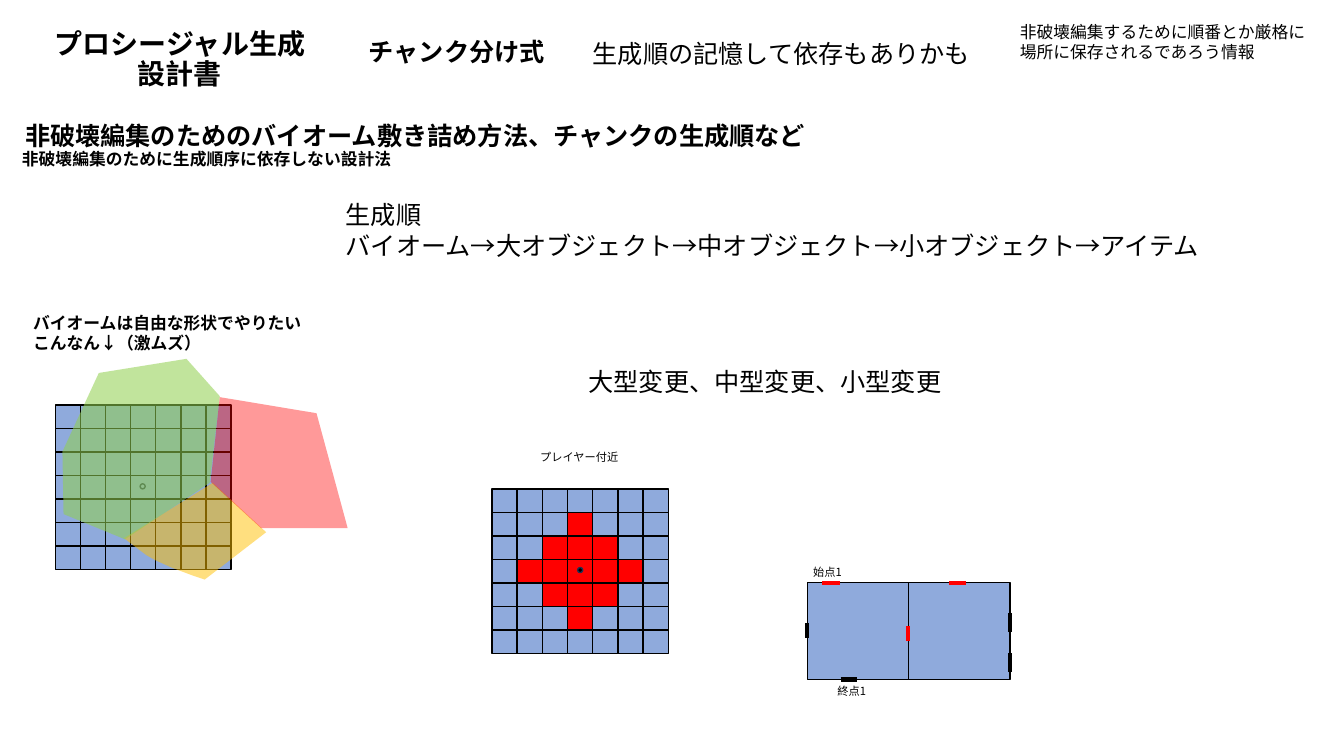
"""Build the procedural generation design slide with its chunk diagrams."""
from dataclasses import dataclass

from lxml.etree import SubElement
from pptx import Presentation
from pptx.dml.color import RGBColor
from pptx.enum.shapes import MSO_CONNECTOR, MSO_SHAPE
from pptx.enum.text import MSO_ANCHOR, MSO_AUTO_SIZE, PP_ALIGN
from pptx.oxml.ns import qn
from pptx.shapes.autoshape import Shape
from pptx.slide import Slide
from pptx.util import Pt

BLACK = RGBColor(0x00, 0x00, 0x00)
RED = RGBColor(0xFF, 0x00, 0x00)
BLUE = RGBColor(0x8F, 0xAA, 0xDC)
NAVY = RGBColor(0x1E, 0x32, 0x56)
GOLD = RGBColor(0xFF, 0xC0, 0x00)
GREEN = RGBColor(0x92, 0xD0, 0x50)
FONT = "Noto Sans CJK JP"
GRID_SIZE = 7
CENTER = GRID_SIZE // 2


@dataclass(frozen=True)
class Label:
    text: str
    left: float
    top: float
    width: float
    height: float
    size: float
    bold: bool = False


@dataclass(frozen=True)
class Box:
    left: float
    top: float
    width: float
    height: float
    fill: RGBColor = BLUE
    line: RGBColor = BLACK
    preset: MSO_SHAPE = MSO_SHAPE.RECTANGLE


@dataclass(frozen=True)
class ChunkGrid:
    left: float
    top: float
    column_step: float
    row_step: float
    red_distance: int


@dataclass(frozen=True)
class Door:
    start: tuple[float, float]
    end: tuple[float, float]
    color: RGBColor = BLACK


@dataclass(frozen=True)
class Biome:
    color: RGBColor
    opacity: int
    points: tuple[tuple[float, float], ...]


TITLE = Label("プロシージャル生成\v設計書", -33.1, -20.2, 323.3, 88.6, 20, True)
HEADINGS = (
    Label("非破壊編集のためのバイオーム敷き詰め方法、チャンクの生成順など",
          10.8, 82.1, 594.7, 28.8, 18, True),
    Label("非破壊編集するために順番とか厳格に\n場所に保存されるであろう情報",
          721.4, 12.2, 230.4, 51.1, 12),
    Label("チャンク分け式", 256.3, 22.3, 151.2, 28.8, 18, True),
)
ROOMS = (Box(576.7, 416.2, 72.3, 69.1), Box(649.1, 416.2, 72.3, 69.1))
ROOM_LABELS = (
    Label("終点1", 591.1, 485.3, 36, 17.3, 8),
    Label("始点1", 573.8, 400.3, 36, 17.3, 8),
)
DOORS = (
    Door((587.5, 416.2), (599.8, 416.2), RED),
    Door((600.5, 485.3), (612, 485.3)),
    Door((678.2, 416.2), (689.8, 416.2), RED),
    Door((721.4, 437.8), (721.4, 451.4)),
    Door((648.7, 447.1), (648.7, 457.9), RED),
    Door((721.4, 466.6), (721.4, 480.2)),
    Door((576.7, 445), (576.7, 455.8)),
)
NOTES = (
    Label("非破壊編集のために生成順序に依存しない設計法",
          8.6, 103, 298.8, 21.6, 12, True),
    Label("生成順の記憶して依存もありかも", 416.2, 23.8, 358.6, 28.8, 18),
    Label("プレイヤー付近", 378.7, 318.2, 72, 17.3, 8),
)
PLAYER_GRID = ChunkGrid(351.4, 349.2, 18, 16.8, 2)
BIOME_GRID = ChunkGrid(39.5, 289.4, 17.95, 16.75, -1)
PLAYER_DOT = Box(412.6, 405.4, 3.6, 3.6, BLACK, NAVY, MSO_SHAPE.OVAL)
BIOME_DOT = Box(100.1, 345.6, 3.6, 3.6, BLUE, NAVY, MSO_SHAPE.OVAL)
BIOMES = (
    Biome(GOLD, 50, ((88.6, 384.5), (99.1, 392.5), (104.9, 396.8), (111, 400.2),
                     (122.4, 405.4), (137.5, 411.1), (146.2, 414), (190.1, 380.2),
                     (151.9, 344.9))),
    Biome(GREEN, 56, ((149.8, 344.9), (89.3, 385.2), (45.4, 367.2), (44.6, 322.6),
                      (70.6, 266.4), (133.2, 256.3), (157, 283))),
    Biome(RED, 40, ((157, 283.7), (150.5, 344.2), (186.5, 377.3), (248.4, 377.3),
                    (226.1, 295.2))),
)
PLANS = (
    Label("バイオームは自由な形状でやりたい\nこんなん↓（激ムズ）",
          16.6, 219.6, 223.2, 36, 12, True),
    Label("生成順\nバイオーム→大オブジェクト→中オブジェクト→小オブジェクト→アイテム",
          239.8, 139, 673.9, 51.1, 18),
    Label("大型変更、中型変更、小型変更", 413.3, 257.8, 276.5, 28.8, 18),
)


def add_label(slide: Slide, label: Label) -> Shape:
    shape = slide.shapes.add_textbox(
        Pt(label.left), Pt(label.top), Pt(label.width), Pt(label.height))
    text_frame = shape.text_frame
    text_frame.word_wrap = True
    text_frame.auto_size = MSO_AUTO_SIZE.SHAPE_TO_FIT_TEXT
    text_frame.text = label.text
    font_format = {"name": FONT, "size": Pt(label.size), "bold": label.bold}
    for paragraph in text_frame.paragraphs:
        for run in paragraph.runs:
            run.font.color.rgb = BLACK
            for attribute, value in font_format.items():
                setattr(run.font, attribute, value)
            properties = run.font._element if hasattr(run.font, "_element") else run._r.get_or_add_rPr()
            SubElement(properties, qn("a:ea"), typeface=FONT)
    return shape


def add_title(slide: Slide) -> None:
    text_frame = add_label(slide, TITLE).text_frame
    text_frame.auto_size = MSO_AUTO_SIZE.NONE
    text_frame.vertical_anchor = MSO_ANCHOR.BOTTOM
    paragraph_format = {"alignment": PP_ALIGN.CENTER, "line_spacing": 0.9}
    for attribute, value in paragraph_format.items():
        setattr(text_frame.paragraphs[0], attribute, value)


def add_labels(slide: Slide, labels: tuple[Label, ...]) -> None:
    for label in labels:
        add_label(slide, label)


def add_box(slide: Slide, box: Box) -> None:
    shape = slide.shapes.add_shape(
        box.preset, Pt(box.left), Pt(box.top), Pt(box.width), Pt(box.height))
    shape.shadow.inherit = False
    shape.fill.solid()
    shape.fill.fore_color.rgb = box.fill
    shape.line.color.rgb = box.line
    shape.line.width = Pt(1)


def add_grid(slide: Slide, grid: ChunkGrid) -> None:
    for row in range(GRID_SIZE):
        for column in range(GRID_SIZE):
            distance = abs(row - CENTER) + abs(column - CENTER)
            fill = RED if distance <= grid.red_distance else BLUE
            add_box(slide, Box(grid.left + column * grid.column_step,
                               grid.top + row * grid.row_step,
                               grid.column_step, grid.row_step, fill))


def add_door(slide: Slide, door: Door) -> None:
    connector = slide.shapes.add_connector(
        MSO_CONNECTOR.STRAIGHT, *map(Pt, door.start), *map(Pt, door.end))
    connector.line.color.rgb = door.color
    connector.line.width = Pt(3)
    SubElement(connector._element.spPr, qn("a:effectLst"))


def add_biome(slide: Slide, biome: Biome) -> None:
    points = [(Pt(x), Pt(y)) for x, y in biome.points]
    builder = slide.shapes.build_freeform(*points[0])
    builder.add_line_segments(points[1:], close=True)
    shape = builder.convert_to_shape()
    shape.shadow.inherit = False
    shape.line.fill.background()
    shape.fill.solid()
    shape.fill.fore_color.rgb = biome.color
    color = shape._element.spPr.find(qn("a:solidFill"))[0]
    SubElement(color, qn("a:alpha"), val=str(biome.opacity * 1000))


def main() -> None:
    presentation = Presentation()
    presentation.slide_width, presentation.slide_height = Pt(960), Pt(540)
    slide = presentation.slides.add_slide(presentation.slide_layouts[6])
    add_title(slide)
    add_labels(slide, HEADINGS)
    for room in ROOMS:
        add_box(slide, room)
    add_labels(slide, ROOM_LABELS)
    for door in DOORS:
        add_door(slide, door)
    add_labels(slide, NOTES)
    for grid, dot in ((PLAYER_GRID, PLAYER_DOT), (BIOME_GRID, BIOME_DOT)):
        add_grid(slide, grid)
        add_box(slide, dot)
    for biome in BIOMES:
        add_biome(slide, biome)
    add_labels(slide, PLANS)
    presentation.save("out.pptx")


if __name__ == "__main__":
    main()
